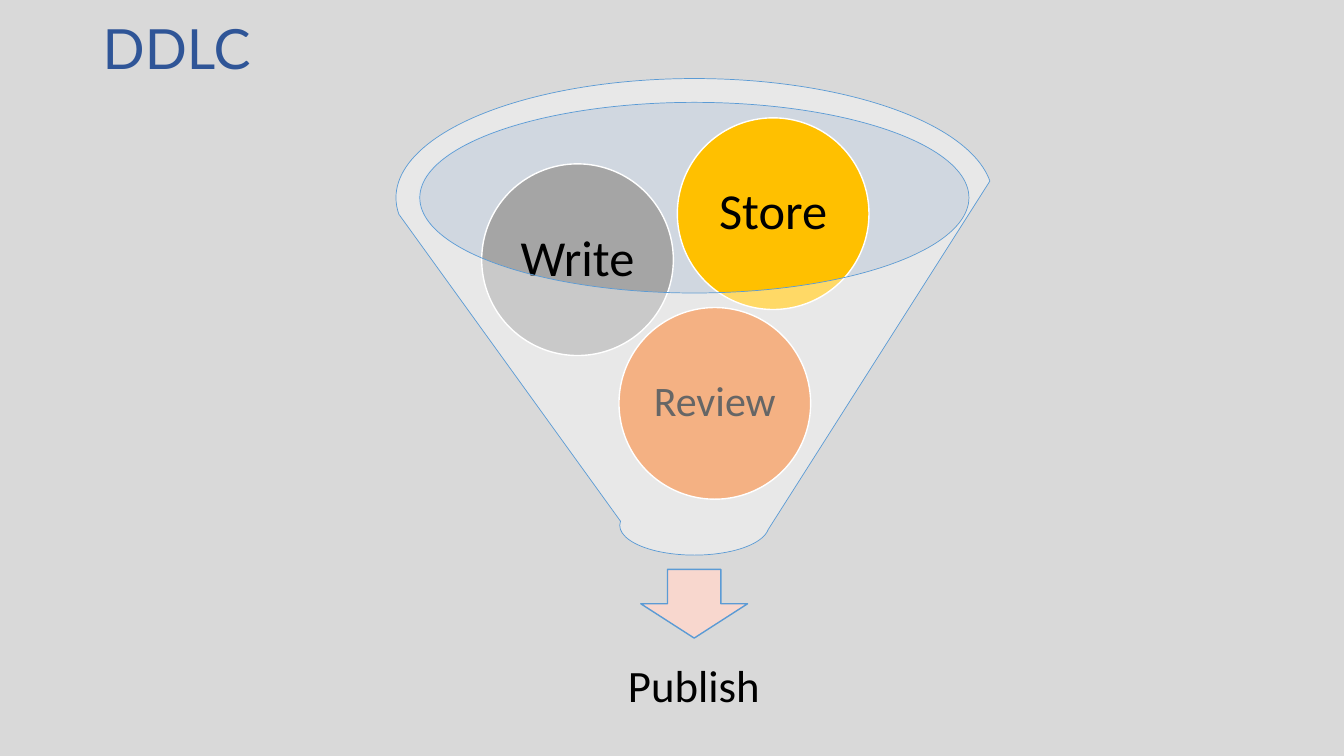
from pptx import Presentation
from pptx.dml.color import RGBColor
from pptx.enum.shapes import MSO_SHAPE
from pptx.enum.text import MSO_ANCHOR, PP_ALIGN
from pptx.oxml.ns import qn
from pptx.util import Cm, Pt
from lxml.etree import SubElement

GREY_BACK = RGBColor(0xD9, 0xD9, 0xD9)
TITLE_BLUE = RGBColor(0x2F, 0x55, 0x97)
LINE_BLUE = RGBColor(0x5B, 0x9B, 0xD5)
MOUTH_BLUE = RGBColor(0xC4, 0xD5, 0xEB)
ARROW_PINK = RGBColor(0xF8, 0xD7, 0xCE)
ORANGE = RGBColor(0xED, 0x7D, 0x31)
GREY = RGBColor(0xA5, 0xA5, 0xA5)
GOLD = RGBColor(0xFF, 0xC0, 0x00)
WHITE = RGBColor(0xFF, 0xFF, 0xFF)
BLACK = RGBColor(0x00, 0x00, 0x00)

BALL_SIZE = 4.83
BALLS = [
    ("Review", 15.6, 7.75, ORANGE, 30),
    ("Write", 12.14, 4.13, GREY, 36),
    ("Store", 17.07, 2.97, GOLD, 36),
]


def add_shape(s, kind, box, fill, line=None, width=1, opacity=None):
    sp = s.shapes.add_shape(kind, *[Cm(v) for v in box])
    sp.shadow.inherit = False
    sp.fill.solid()
    sp.fill.fore_color.rgb = fill
    if opacity is not None:
        color = sp.fill._xPr.find(qn("a:solidFill"))[0]
        SubElement(color, qn("a:alpha"), val=str(opacity * 1000))
    if line is None:
        sp.line.fill.background()
    else:
        sp.line.color.rgb = line
        sp.line.width = Pt(width)
    return sp


def write_text(sp, text, size, font="Calibri", color=BLACK, align=PP_ALIGN.CENTER, inset=0.13):
    tf = sp.text_frame
    tf.word_wrap = True
    tf.vertical_anchor = MSO_ANCHOR.MIDDLE
    tf.margin_left = tf.margin_right = tf.margin_top = tf.margin_bottom = Cm(inset)
    p = tf.paragraphs[0]
    p.alignment = align
    p.line_spacing = 0.9
    r = p.add_run()
    r.text = text
    r.font.name = font
    r.font.size = Pt(size)
    r.font.color.rgb = color


def add_text(s, box, text, size, **style):
    sp = s.shapes.add_textbox(*[Cm(v) for v in box])
    write_text(sp, text, size, **style)


def add_ball(s, text, left, top, fill, size):
    sp = add_shape(s, MSO_SHAPE.OVAL, (left, top, BALL_SIZE, BALL_SIZE), fill, WHITE)
    write_text(sp, text, size)


def main():
    prs = Presentation()
    prs.slide_width, prs.slide_height = Cm(33.87), Cm(19.05)
    s = prs.slides.add_slide(prs.slide_layouts[6])
    s.background.fill.solid()
    s.background.fill.fore_color.rgb = GREY_BACK

    add_text(s, (2.34, 0.3, 29.21, 2.01), "DDLC", 39.6, font="Lato",
             color=TITLE_BLUE, align=PP_ALIGN.LEFT, inset=0.25)
    add_shape(s, MSO_SHAPE.OVAL, (10.54, 2.57, 13.84, 4.8), MOUTH_BLUE, opacity=40)
    add_shape(s, MSO_SHAPE.DOWN_ARROW, (16.15, 14.35, 2.69, 1.73), ARROW_PINK, LINE_BLUE)
    add_text(s, (11.05, 15.72, 12.88, 3.23), "Publish", 32, inset=0.64)
    for ball in BALLS:
        add_ball(s, *ball)
    add_shape(s, MSO_SHAPE.FUNNEL, (9.98, 1.98, 15.04, 12.01), WHITE, LINE_BLUE, 0.5, 40)

    prs.save("out.pptx")


if __name__ == "__main__":
    main()
